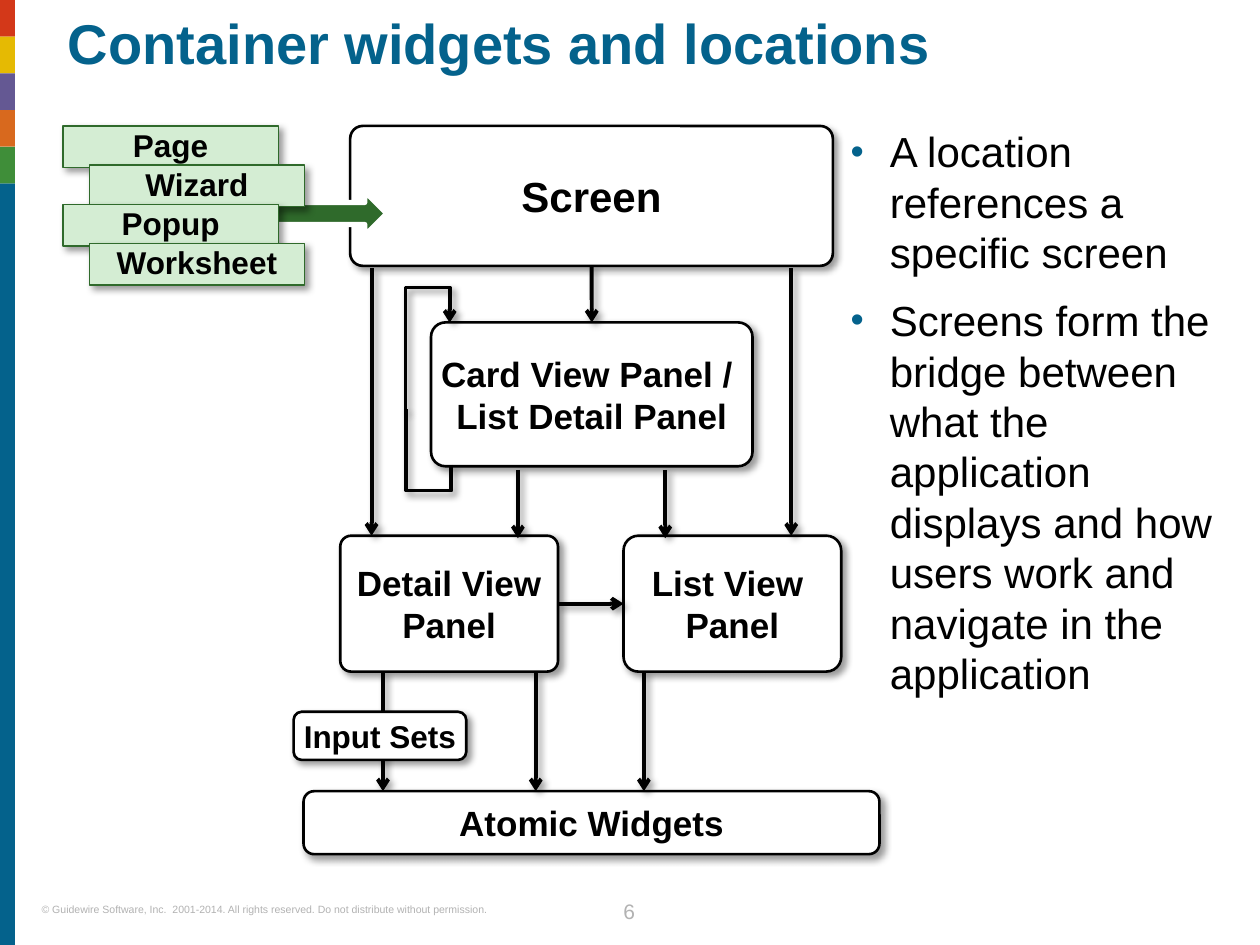
import pptx
import pptx.dml.color
import pptx.enum.shapes
import pptx.enum.text
import pptx.oxml.ns
import pptx.oxml.xmlchemy
import pptx.util
from typing import NamedTuple

Cm, Pt = pptx.util.Cm, pptx.util.Pt
SHAPE = pptx.enum.shapes.MSO_SHAPE
CONNECTOR = pptx.enum.shapes.MSO_CONNECTOR
ALIGN = pptx.enum.text.PP_ALIGN
ANCHOR = pptx.enum.text.MSO_ANCHOR
qn = pptx.oxml.ns.qn

BLUE, BLACK, WHITE, GRAY = "04628C", "000000", "FFFFFF", "B2B2B2"
GREEN, PALE_GREEN = "2F6A2B", "D4EDD3"
BOTTOM, LEFT, RIGHT, TOP = 2, 1, 3, 0


class Box(NamedTuple):
    text: str
    left: float
    top: float
    width: float
    height: float
    size: int = 20
    corner: float = 0.167


class VerticalArrow(NamedTuple):
    x: float
    top: float
    bottom: float


class Elbow(NamedTuple):
    begin: tuple
    end: tuple
    rotation: int
    bend: int
    ends: tuple


# Lengths in centimetres
BOXES = [
    Box("Screen", 7.06, 2.54, 9.73, 2.82, 24, 0.09),
    Box("Card View Panel / \vList Detail Panel", 8.69, 6.5, 6.48, 2.9, corner=0.1),
    Box("Detail View\vPanel", 6.86, 10.8, 4.39, 2.74, corner=0.08),
    Box("List View \vPanel", 12.57, 10.8, 4.39, 2.74, corner=0.11),
    Box("Input Sets", 5.92, 14.35, 3.48, 0.97, 18),
    Box("Atomic Widgets", 6.12, 15.95, 11.61, 1.27),
]
INPUT_ARROW = VerticalArrow(7.72, 13.54, 15.95)
ARROWS = [
    VerticalArrow(13.41, 9.47, 10.85),
    VerticalArrow(10.44, 9.47, 10.85),
    VerticalArrow(7.49, 5.41, 10.8),
    VerticalArrow(15.95, 5.41, 10.8),
    VerticalArrow(10.8, 13.54, 15.95),
    VerticalArrow(12.98, 13.54, 15.95),
]
LOOP = [
    Elbow((8.08, 9.27), (9.2, 8.36), 270, -46000, ()),
    Elbow((7.72, 6.96), (9.52, 7.85), 90, -39400, ("headEnd",)),
]
LOCATIONS = ["Page", "Wizard", "Popup", "Worksheet"]
STRIPES = ["D33819", "E5BA03", "645893", "D8691E", "3F8E39"]
BULLETS = [
    "A location references a specific screen",
    "Screens form the bridge between what the application displays "
    "and how users work and navigate in the application",
]
COPYRIGHT = ("© Guidewire Software, Inc.  2001-2014. All rights reserved. "
             "Do not distribute without permission.")


def rgb(value: str):
    return pptx.dml.color.RGBColor.from_string(value)


def child(parent, tag: str, **attributes):
    element = pptx.oxml.xmlchemy.OxmlElement(f"a:{tag}")
    for name, value in attributes.items():
        element.set(name, str(value))
    parent.append(element)
    return element


def apply(target, formats: dict) -> None:
    for name, value in formats.items():
        setattr(target, name, value)


def add_shadow(effects) -> None:
    shadow = child(effects, "outerShdw", blurRad=Pt(4), dist=Pt(3),
                   dir=45 * 60000, algn="tl", rotWithShape=0)
    child(child(shadow, "srgbClr", val=BLACK), "alpha", val=40000)


def write(shape, texts: list, size: int, color=BLACK, bold=False,
          frame_format=None, **paragraph_format) -> None:
    frame = shape.text_frame
    apply(frame, {"margin_left": 0, "margin_right": 0, "margin_top": 0,
                  "margin_bottom": 0, "word_wrap": True, **(frame_format or {})})
    for index, text in enumerate(texts):
        paragraph = frame.add_paragraph() if index else frame.paragraphs[0]
        paragraph.text = text
        apply(paragraph, paragraph_format)
        for run in paragraph.runs:
            apply(run.font, {"name": "Arial", "size": Pt(size), "bold": bold})
            run.font.color.rgb = rgb(color)


def add_text(slide, area: tuple, texts: list, size: int, **formats):
    shape = slide.shapes.add_textbox(*map(Cm, area))
    write(shape, texts, size, **formats)
    return shape


def add_filled(slide, kind, area: tuple, fill: str, line=None, width=0.75,
               shadow=False):
    shape = slide.shapes.add_shape(kind, *map(Cm, area))
    shape.fill.solid()
    shape.fill.fore_color.rgb = rgb(fill)
    if line:
        shape.line.color.rgb = rgb(line)
        shape.line.width = Pt(width)
    else:
        shape.line.fill.background()
    shape.shadow.inherit = False
    if shadow:
        add_shadow(shape._element.spPr.find(qn("a:effectLst")))
    return shape


def add_box(slide, box: Box):
    shape = add_filled(slide, SHAPE.ROUNDED_RECTANGLE, box[1:5], WHITE, BLACK, 1.5, True)
    shape.adjustments[0] = box.corner
    write(shape, [box.text], box.size, bold=True, alignment=ALIGN.CENTER,
          frame_format={"word_wrap": False, "vertical_anchor": ANCHOR.MIDDLE})
    return shape


def add_line(slide, begin: tuple, end: tuple, kind=CONNECTOR.STRAIGHT,
             ends=("tailEnd",)):
    line = slide.shapes.add_connector(kind, *map(Cm, begin + end))
    line.line.color.rgb = rgb(BLACK)
    line.line.width = Pt(2.25)
    properties = line._element.spPr
    for tag in ends:
        child(properties.find(qn("a:ln")), tag, type="arrow")
    add_shadow(child(properties, "effectLst"))
    return line


def add_vertical_arrow(slide, arrow: VerticalArrow) -> None:
    add_line(slide, (arrow.x, arrow.top), (arrow.x, arrow.bottom))


def add_elbow(slide, elbow: Elbow) -> None:
    line = add_line(slide, elbow.begin, elbow.end, CONNECTOR.ELBOW, elbow.ends)
    properties = line._element.spPr
    properties.find(qn("a:xfrm")).set("rot", str(elbow.rotation * 60000))
    geometry = properties.find(qn("a:prstGeom"))
    for old in geometry.findall(qn("a:avLst")):
        geometry.remove(old)
    child(child(geometry, "avLst"), "gd", name="adj1", fmla=f"val {elbow.bend}")


def join(slide, first, first_side: int, second, second_side: int) -> None:
    line = add_line(slide, (0, 0), (1, 1))
    line.begin_connect(first, first_side)
    line.end_connect(second, second_side)


def main() -> None:
    presentation = pptx.Presentation()
    presentation.slide_width, presentation.slide_height = Cm(25.4), Cm(19.05)
    slide = presentation.slides.add_slide(presentation.slide_layouts[6])

    # Footer and colour band
    add_text(slide, (0.84, 18.21, 10.21, 0.25), [COPYRIGHT], 6, color=GRAY)
    stripe = 0.74
    band_top = stripe * len(STRIPES)
    add_filled(slide, SHAPE.RECTANGLE, (0, band_top, 0.3, 19.05 - band_top), BLUE)
    for index, color in enumerate(STRIPES):
        add_filled(slide, SHAPE.RECTANGLE, (0, index * stripe, 0.3, stripe), color)
    add_text(slide, (11.96, 17.98, 1.45, 0.64), ["6"], 12, color=GRAY,
             alignment=ALIGN.CENTER, line_spacing=Pt(18))

    # Title and bullets
    add_text(slide, (1.37, 0.33, 23.11, 2.06), ["Container widgets and locations"],
             32, color=BLUE, bold=True, line_spacing=0.9)
    body = add_text(slide, (17.15, 2.54, 7.37, 15.21), BULLETS, 24)
    for index, paragraph in enumerate(body.text_frame.paragraphs):
        properties = paragraph._p.get_or_add_pPr()
        properties.set("marL", str(Cm(0.79)))
        properties.set("indent", str(-Cm(0.79)))
        child(child(properties, "buClr"), "srgbClr", val=BLUE)
        child(properties, "buSzPct", val=90000)
        child(properties, "buFont", typeface="Arial")
        child(properties, "buChar", char="•")
        paragraph.space_before = Pt(10 if index else 0)

    # Widget boxes, with the input arrow running behind its box
    add_vertical_arrow(slide, INPUT_ARROW)
    screen, card, detail, list_view, *_ = [add_box(slide, box) for box in BOXES]

    # Links between widgets
    join(slide, screen, BOTTOM, card, TOP)
    for elbow in LOOP:
        add_elbow(slide, elbow)
    for arrow in ARROWS:
        add_vertical_arrow(slide, arrow)
    join(slide, detail, RIGHT, list_view, LEFT)

    # Locations pointing at the screen
    add_filled(slide, SHAPE.RIGHT_ARROW, (5.31, 3.86, 2.49, 0.89), GREEN, WHITE, 3)
    for index, name in enumerate(LOCATIONS):
        area = (1.27 + index % 2 * 0.53, 2.54 + index * 0.79, 4.34, 0.84)
        location = add_filled(slide, SHAPE.RECTANGLE, area, PALE_GREEN, GREEN, shadow=True)
        write(location, [name], 18, bold=True, alignment=ALIGN.CENTER, line_spacing=0.9,
              frame_format={"vertical_anchor": ANCHOR.MIDDLE})

    presentation.save("out.pptx")


if __name__ == "__main__":
    main()
